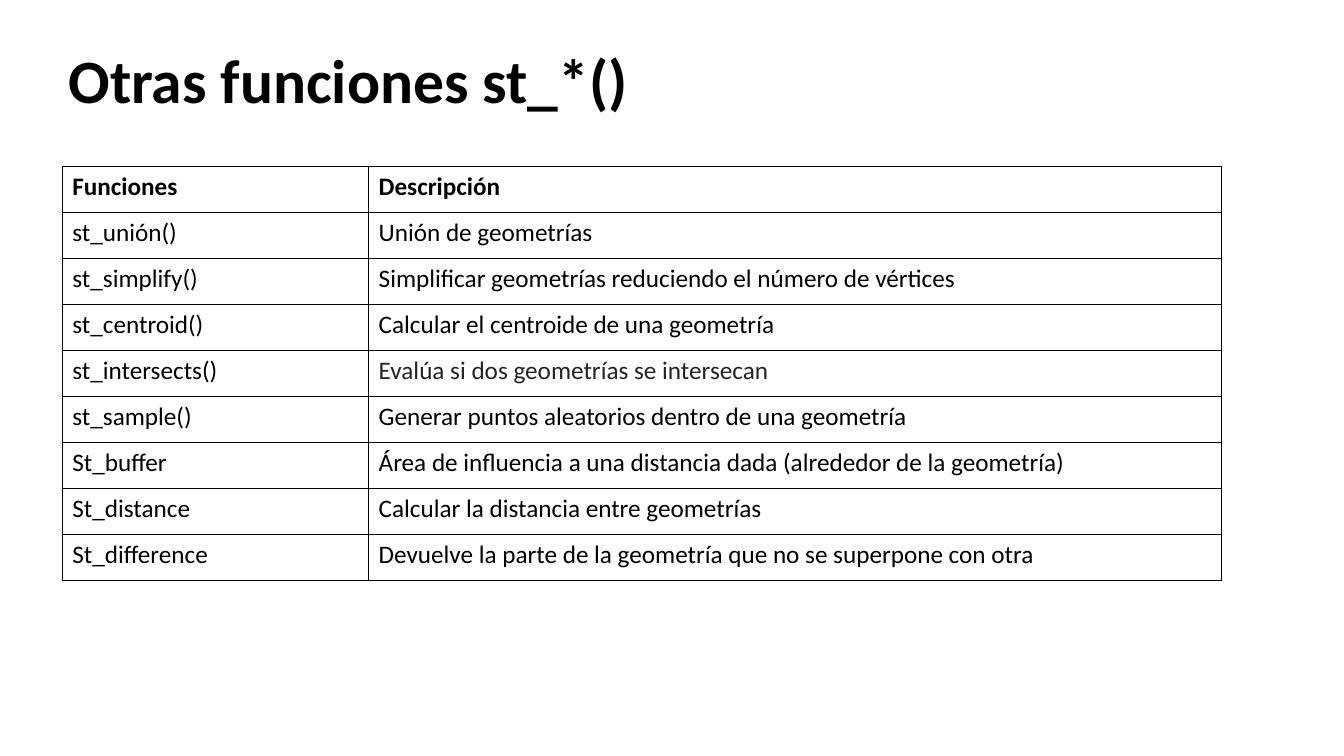
from dataclasses import dataclass

from lxml.etree import SubElement as Sub
from pptx import Presentation
from pptx.dml.color import RGBColor as RGB
from pptx.enum.text import MSO_ANCHOR as Anchor, PP_ALIGN as Align
from pptx.oxml.ns import qn
from pptx.slide import Slide
from pptx.table import _Cell as Cell
from pptx.text.text import _Paragraph as Para
from pptx.util import Cm, Pt

BLACK = RGB(0x00, 0x00, 0x00)
GRAY = RGB(0x21, 0x25, 0x29)
FONT = "Calibri"


@dataclass
class Entry:
    name: str
    about: str
    color: RGB = BLACK
    bold: bool = False


ENTRIES = [
    Entry("Funciones", "Descripción", bold=True),
    Entry("st_unión()", "Unión de geometrías"),
    Entry("st_simplify()", "Simplificar geometrías reduciendo el número de vértices"),
    Entry("st_centroid()", "Calcular el centroide de una geometría"),
    Entry("st_intersects()", "Evalúa si dos geometrías se intersecan", GRAY),
    Entry("st_sample()", "Generar puntos aleatorios dentro de una geometría"),
    Entry("St_buffer", "Área de influencia a una distancia dada (alrededor de la geometría)"),
    Entry("St_distance", "Calcular la distancia entre geometrías"),
    Entry("St_difference", "Devuelve la parte de la geometría que no se superpone con otra"),
]


def style(para: Para, size: int, color: RGB, bold: bool) -> None:
    para.alignment = Align.LEFT
    font = para.font
    font.name, font.size, font.bold = FONT, Pt(size), bold
    font.color.rgb = color


def add_title(slide: Slide, text: str) -> None:
    title = slide.shapes.title
    title.left, title.top = Cm(1.47), Cm(0.81)
    title.width, title.height = Cm(17.78), Cm(2.59)
    frame = title.text_frame
    frame.text = text
    frame.word_wrap = True
    frame.vertical_anchor = Anchor.MIDDLE
    para = frame.paragraphs[0]
    para.line_spacing = 0.9
    style(para, 44, BLACK, True)


def frame_cell(cell: Cell) -> None:
    props = cell._tc.get_or_add_tcPr()
    for side in ("lnL", "lnR", "lnT", "lnB"):
        line = Sub(props, qn(f"a:{side}"), w=str(Pt(1)))
        fill = Sub(line, qn("a:solidFill"))
        Sub(fill, qn("a:srgbClr"), val=str(BLACK))
    cell.fill.background()


def fill_cell(cell: Cell, text: str, color: RGB, bold: bool) -> None:
    frame_cell(cell)
    cell.text = text
    style(cell.text_frame.paragraphs[0], 18, color, bold)


def add_list(slide: Slide, entries: list[Entry]) -> None:
    high = Cm(1.16)
    wide = (Cm(7.72), Cm(21.49))
    table = slide.shapes.add_table(
        len(entries), len(wide), Cm(1.57), Cm(4.19), sum(wide), high * len(entries)
    ).table
    table.horz_banding = False
    for col, width in zip(table.columns, wide):
        col.width = width
    for row, entry in zip(table.rows, entries):
        row.height = high
        name, about = row.cells
        fill_cell(name, entry.name, BLACK, entry.bold)
        fill_cell(about, entry.about, entry.color, entry.bold)


def main() -> None:
    deck = Presentation()
    deck.slide_width, deck.slide_height = Cm(33.87), Cm(19.05)
    slide = deck.slides.add_slide(deck.slide_layouts.get_by_name("Title Only"))
    add_title(slide, "Otras funciones st_*()")
    add_list(slide, ENTRIES)
    deck.save("out.pptx")


if __name__ == "__main__":
    main()
